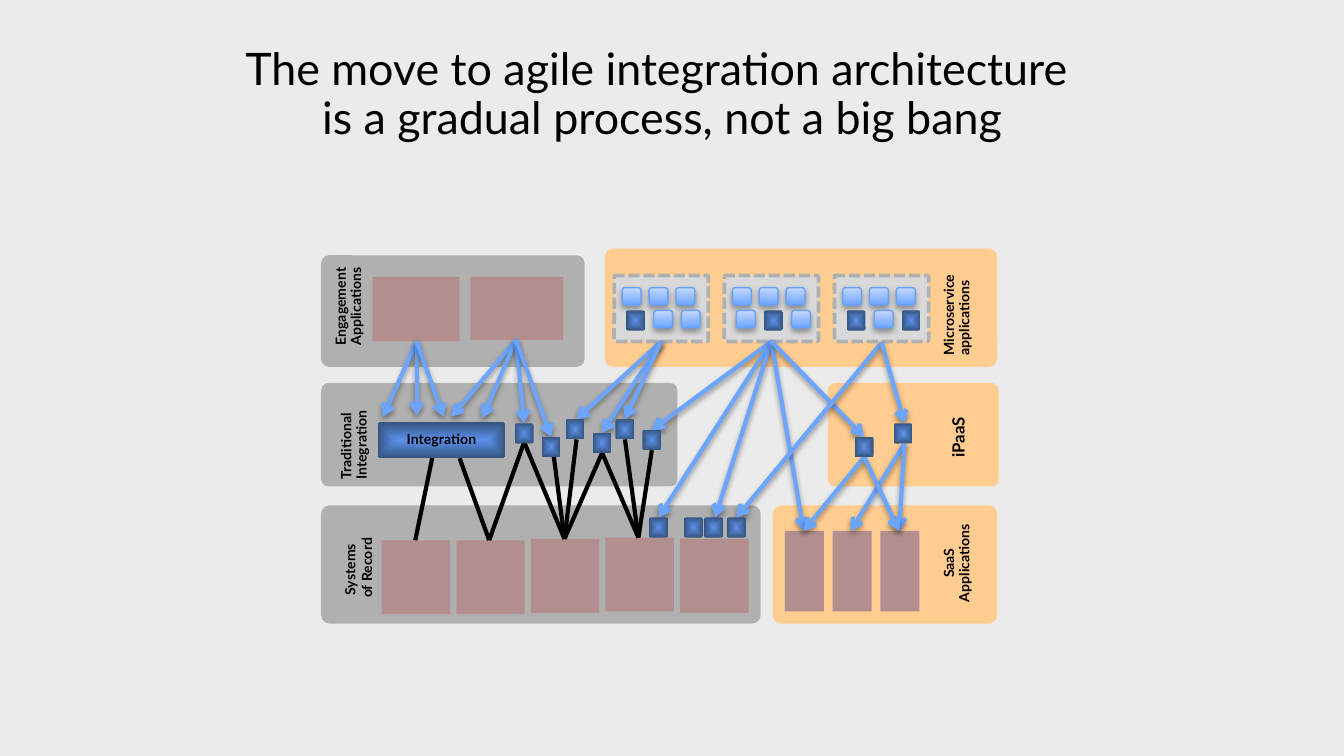
from dataclasses import dataclass

from lxml.etree import SubElement
from pptx import Presentation
from pptx.dml.color import RGBColor
from pptx.enum.dml import MSO_LINE
from pptx.enum.shapes import MSO_CONNECTOR, MSO_SHAPE
from pptx.enum.text import MSO_ANCHOR, MSO_AUTO_SIZE, PP_ALIGN
from pptx.oxml.ns import qn
from pptx.util import Inches, Pt


@dataclass(frozen=True)
class Theme:
    """Colours, font and type sizes of the slide."""
    font: str = "Lato"
    title: float = 24
    label: float = 7.5
    label_large: float = 9
    background: str = "EBEBEB"
    ink: str = "000000"
    legacy: str = "B0B0B0"
    modern: str = "FFCD90"
    system: str = "B28F8E"
    group: str = "D9D9D9"
    flow: str = "6BA5FF"
    service_edge: str = "65A1FD"
    service: tuple = ("6BA5FF", "C7D8FF")
    integration: tuple = ("5B8FE8", "34547F")


class Diagram:
    """Draws on one slide, on a grid of 100 columns by 56.25 rows."""

    def __init__(self, prs, theme):
        """Add a title-only slide with the theme's background."""
        self.theme = theme
        self.cell = prs.slide_width / 100
        self.s = prs.slides.add_slide(prs.slide_layouts[5])
        fill = self.s.background.fill
        fill.solid()
        fill.fore_color.rgb = RGBColor.from_string(theme.background)

    def grid(self, *cells):
        """Turn grid cells into slide lengths."""
        return [round(c * self.cell) for c in cells]

    def format_text(self, tf, size, align, spacing, bold=True):
        """Format every paragraph and run of a text frame."""
        for p in tf.paragraphs:
            p.alignment, p.line_spacing = align, spacing
            for r in p.runs:
                r.font.name, r.font.size, r.font.bold = self.theme.font, Pt(size), bold
                r.font.color.rgb = RGBColor.from_string(self.theme.ink)

    def shadow(self, effects, blur, dist, alpha):
        """Add a shadow straight below to an effect list."""
        outer = SubElement(effects, qn("a:outerShdw"), blurRad=str(Pt(blur)),
                           dist=str(Pt(dist)), dir="5400000", rotWithShape="0")
        color = SubElement(outer, qn("a:srgbClr"), val=self.theme.ink)
        SubElement(color, qn("a:alpha"), val=str(alpha * 1000))

    def title(self, text, box):
        """Fill and place the title placeholder."""
        sp = self.s.shapes.title
        sp.left, sp.top, sp.width, sp.height = self.grid(*box)
        tf = sp.text_frame
        tf.text = text
        tf.auto_size, tf.vertical_anchor = MSO_AUTO_SIZE.NONE, MSO_ANCHOR.TOP
        tf.margin_left = tf.margin_right = tf.margin_top = tf.margin_bottom = 0
        self.format_text(tf, self.theme.title, PP_ALIGN.CENTER, 0.9, bold=False)

    def box(self, box, color, corner=None):
        """Add a plain filled box, rounded if a corner is given."""
        kind = MSO_SHAPE.RECTANGLE if corner is None else MSO_SHAPE.ROUNDED_RECTANGLE
        sp = self.s.shapes.add_shape(kind, *self.grid(*box))
        if corner is not None:
            sp.adjustments[0] = corner
        sp.fill.solid()
        sp.fill.fore_color.rgb = RGBColor.from_string(color)
        sp.line.fill.background()
        sp.shadow.inherit = False
        return sp

    def gradient(self, sp, colors):
        """Fill a shape with a two-colour gradient running upwards."""
        sp.fill.gradient()
        sp.fill.gradient_angle = 90
        for stop, color in zip(sp.fill.gradient_stops, colors):
            stop.color.rgb = RGBColor.from_string(color)

    def group(self, x, y):
        """Add the dashed frame of a microservice application."""
        sp = self.box((x, y, 7, 4.9), self.theme.group, 0.02)
        sp.line.color.rgb = RGBColor.from_string(self.theme.legacy)
        sp.line.width = Pt(2)
        sp.line.dash_style = MSO_LINE.SQUARE_DOT

    def service(self, x, y):
        """Add a light microservice tile."""
        sp = self.box((x, y, 1.4, 1.3), self.theme.flow, 0.17)
        self.gradient(sp, self.theme.service)
        sp.line.color.rgb = RGBColor.from_string(self.theme.service_edge)
        sp.line.width = Pt(0.75)
        self.shadow(sp.element.spPr.find(qn("a:effectLst")), 3.1, 1.8, 35)

    def integration(self, x, y, w=1.4, h=1.5, text=""):
        """Add a dark integration tile that glows from its centre."""
        sp = self.box((x, y, w, h), self.theme.flow, 0.1)
        self.gradient(sp, self.theme.integration)
        grad = sp.element.spPr.find(qn("a:gradFill"))
        grad.remove(grad.find(qn("a:lin")))
        glow = SubElement(grad, qn("a:path"), path="shape")
        SubElement(glow, qn("a:fillToRect"), l="50000", t="50000", r="50000", b="50000")
        if text:
            tf = sp.text_frame
            tf.text, tf.vertical_anchor = text, MSO_ANCHOR.MIDDLE
            self.format_text(tf, self.theme.label, PP_ALIGN.CENTER, 0.9)

    def label(self, text, box, align=PP_ALIGN.CENTER, size=None, spacing=0.9,
              anchor=MSO_ANCHOR.BOTTOM):
        """Add a label that reads upwards."""
        sp = self.s.shapes.add_textbox(*self.grid(*box))
        sp.rotation = 270
        tf = sp.text_frame
        tf.text, tf.word_wrap, tf.vertical_anchor = text, True, anchor
        tf.margin_left = tf.margin_right = Inches(0.07)
        tf.margin_top = tf.margin_bottom = Inches(0.04)
        self.format_text(tf, size or self.theme.label, align, spacing)

    def link(self, start, end, arrow=False):
        """Add a black line or a blue shadowed arrow."""
        c = self.s.shapes.add_connector(MSO_CONNECTOR.STRAIGHT, *self.grid(*start, *end))
        color = self.theme.flow if arrow else self.theme.ink
        c.line.color.rgb = RGBColor.from_string(color)
        c.line.width = Pt(2.25)
        spPr = c.element.spPr
        effects = SubElement(spPr, qn("a:effectLst"))
        if arrow:
            SubElement(spPr.find(qn("a:ln")), qn("a:tailEnd"), type="arrow")
            self.shadow(effects, 3.1, 1.6, 38)

    def fan(self, start, ends, arrow=False):
        """Link one point to several others."""
        for end in ends:
            self.link(start, end, arrow)


def main():
    """Build the slide and save it."""
    prs = Presentation()
    prs.slide_width, prs.slide_height = Inches(10), Inches(5.625)
    theme = Theme()
    d = Diagram(prs, theme)
    d.title("The move to agile integration architecture \vis a gradual process, not a big bang",
            (0, 3.5, 98.5, 8.8))

    panels = {
        theme.modern: [(61.6, 28.5, 12.7, 7.7), (57.5, 37.6, 16.7, 8.8), (45, 18.5, 29.2, 8.8)],
        theme.legacy: [(23.9, 19, 19.6, 8.3), (23.9, 37.6, 32.7, 8.8), (23.9, 28.5, 26.5, 7.7)],
    }
    for color, boxes in panels.items():
        for box in boxes:
            d.box(box, color, 0.07)

    engagement = [(27.7, 20.6, 6.5, 4.8), (35, 20.6, 6.9, 4.7)]
    records = [(28.4 + 5.55 * i, y, 5.1, 5.5) for i, y in enumerate((40.2, 40.2, 40.1, 40, 40.1))]
    saas = [(58.4 + 3.55 * i, 39.5, 2.9, 6) for i in range(3)]
    for box in engagement + records + saas:
        d.box(box, theme.system)

    for i, row in enumerate(("ISS", "SIS", "ISI")):
        x, y = 45.7 + 8.2 * i, 20.5
        d.group(x, y)
        for j, kind in enumerate(row):
            d.service(x + 0.6 + 2 * j, y + 0.9)
            tile = d.integration if kind == "I" else d.service
            tile(x + 0.9 + 2.05 * j, y + 2.6)

    left = PP_ALIGN.LEFT
    d.label("Systems \nof Record", (22.5, 40.6, 8.3, 3.3), spacing=1, anchor=MSO_ANCHOR.MIDDLE)
    d.label("Engagement\nApplications", (22, 21.3, 8, 3))
    d.label("Traditional\nIntegration", (22.6, 31.1, 7.6, 3), left)
    d.label("Microservice\napplications", (66.6, 21, 9.3, 3), left)
    d.label("SaaS Applications", (66.8, 40.4, 8.9, 3))
    d.label("iPaaS", (66.9, 31.5, 9, 2.1), size=theme.label_large)

    d.link((30.9, 40.2), (32.2, 33.9))
    d.fan((36.4, 40.2), [(34.2, 34.1), (39, 32.9)])
    d.fan((42, 40.1), [(39, 32.9), (41.2, 33.9), (42.9, 32.7), (44.8, 33.7)])
    d.fan((47.5, 40), [(44.8, 33.7), (46.5, 32.7), (48.5, 33.5)])

    flows = {
        (31, 25.4): [(28.5, 31), (31, 30.9), (33, 31)],
        (38.4, 25.3): [(33.6, 31), (35.9, 31.1), (39, 31.5), (41, 32.5)],
        (49.2, 25.4): [(42.9, 31.2), (44.8, 32.2), (46.5, 31.2)],
        (57.4, 25.4): [(48.5, 32), (49, 38.5), (53.2, 38.5), (59.8, 39.5), (64.3, 32.5)],
        (65.6, 25.5): [(54.8, 38.5), (67.3, 31.5)],
        (67.3, 33): [(63.3, 39.5), (66.9, 39.5)],
        (64.3, 34): [(59.8, 39.5), (66.9, 39.5)],
    }
    for start, ends in flows.items():
        d.fan(start, ends, arrow=True)

    d.integration(28.1, 31.4, 9.5, 2.7, "Integration")
    tiles = [(38.3, 31.5), (40.3, 32.5), (42.1, 31.2), (44.1, 32.2), (45.8, 31.2), (47.8, 32),
             (63.6, 32.5), (66.5, 31.5)] + [(x, 38.5) for x in (48.3, 50.9, 52.4, 54.1)]
    for tile in tiles:
        d.integration(*tile)

    prs.save("out.pptx")


if __name__ == "__main__":
    main()
